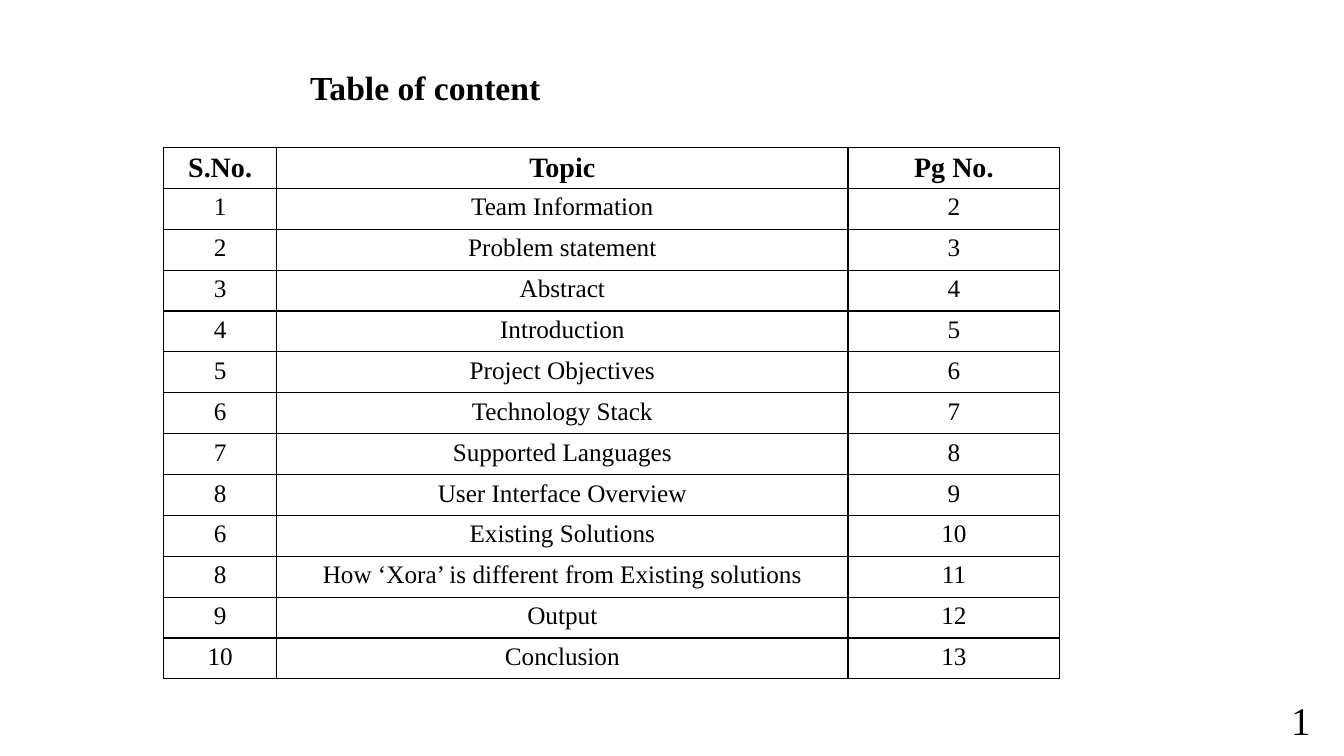
from lxml.etree import SubElement
from pptx import Presentation
from pptx.dml.color import RGBColor
from pptx.enum.text import MSO_AUTO_SIZE, PP_ALIGN
from pptx.oxml.ns import qn
from pptx.util import Pt

BLACK = RGBColor(0, 0, 0)
FONT = "Times New Roman"
COLUMN_WIDTHS = [80.7, 408.2, 151.2]
ROW_HEIGHT = 29.2
TOPICS = [
    (1, "Team Information"),
    (2, "Problem statement"),
    (3, "Abstract"),
    (4, "Introduction"),
    (5, "Project Objectives"),
    (6, "Technology Stack"),
    (7, "Supported Languages"),
    (8, "User Interface Overview"),
    (6, "Existing Solutions"),
    (8, "How ‘Xora’ is different from Existing solutions"),
    (9, "Output"),
    (10, "Conclusion"),
]


def write(frame, text, size, bold=False, align=PP_ALIGN.CENTER):
    para = frame.paragraphs[0]
    para.alignment = align
    span = para.add_run()
    span.text = str(text)
    span.font.name = FONT
    span.font.size = Pt(size)
    span.font.bold = bold
    span.font.color.rgb = BLACK


def add_borders(cell):
    properties = cell._tc.get_or_add_tcPr()
    for side in ("a:lnL", "a:lnR", "a:lnT", "a:lnB"):
        line = SubElement(properties, qn(side), w=str(Pt(1)))
        fill = SubElement(line, qn("a:solidFill"))
        SubElement(fill, qn("a:srgbClr"), val=str(BLACK))


deck = Presentation()
deck.slide_width, deck.slide_height = Pt(960), Pt(540)
page = deck.slides.add_slide(deck.slide_layouts[6])

rows = [("S.No.", "Topic", "Pg No.")]
rows += [(number, topic, page_number) for page_number, (number, topic) in enumerate(TOPICS, 2)]

contents = page.shapes.add_table(
    len(rows), len(COLUMN_WIDTHS), Pt(116.9), Pt(105.1),
    Pt(sum(COLUMN_WIDTHS)), Pt(ROW_HEIGHT * len(rows))).table
contents.first_row = contents.horz_banding = False
for column, width in zip(contents.columns, COLUMN_WIDTHS):
    column.width = Pt(width)
for row_index, values in enumerate(rows):
    contents.rows[row_index].height = Pt(ROW_HEIGHT)
    is_header = row_index == 0
    for column_index, value in enumerate(values):
        cell = contents.cell(row_index, column_index)
        write(cell.text_frame, value, 20 if is_header else 18, bold=is_header)
        add_borders(cell)
        cell.fill.background()

for text, position, size, bold, align in [
    ("Table of content", (80.6, 44.6, 446.4, 36), 24, True, PP_ALIGN.CENTER),
    ("1", (915.1, 493.9, 32.4, 41), 28, False, PP_ALIGN.LEFT),
]:
    box = page.shapes.add_textbox(*map(Pt, position))
    box.text_frame.word_wrap = True
    box.text_frame.auto_size = MSO_AUTO_SIZE.SHAPE_TO_FIT_TEXT
    write(box.text_frame, text, size, bold=bold, align=align)

deck.save("out.pptx")
